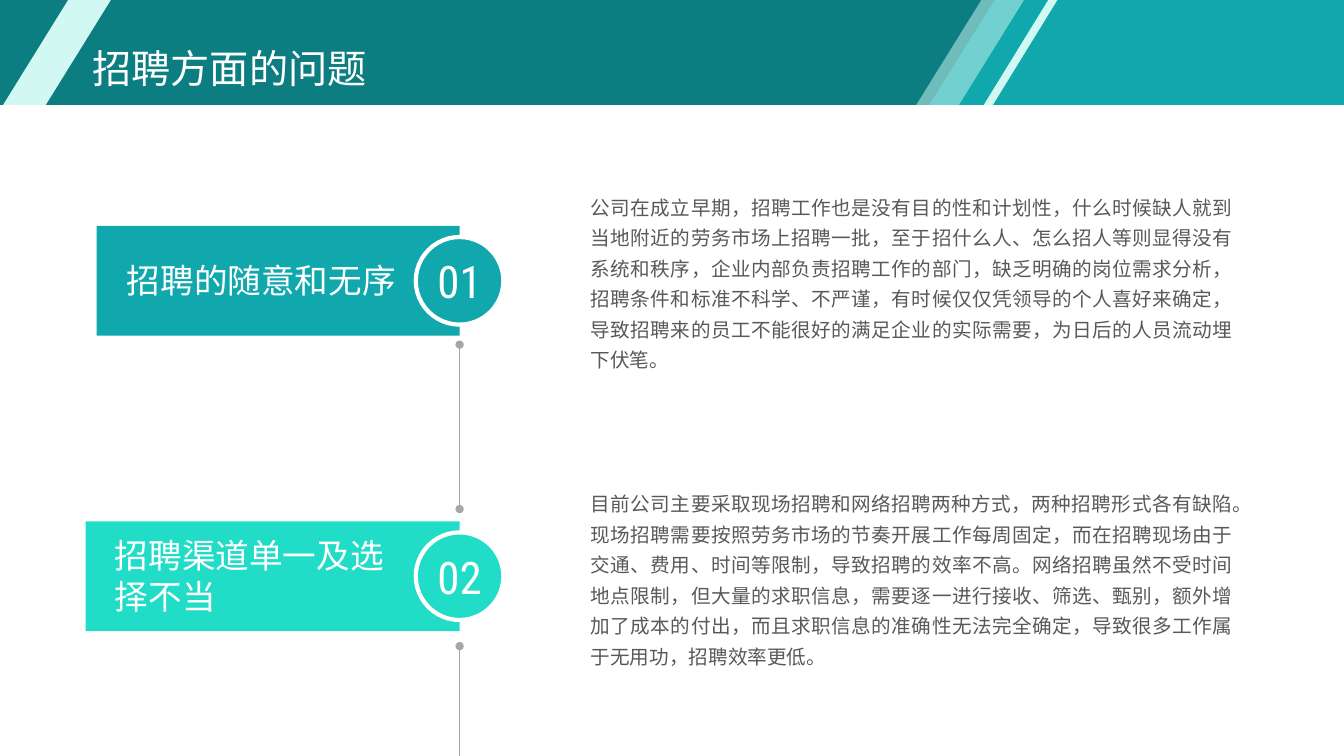
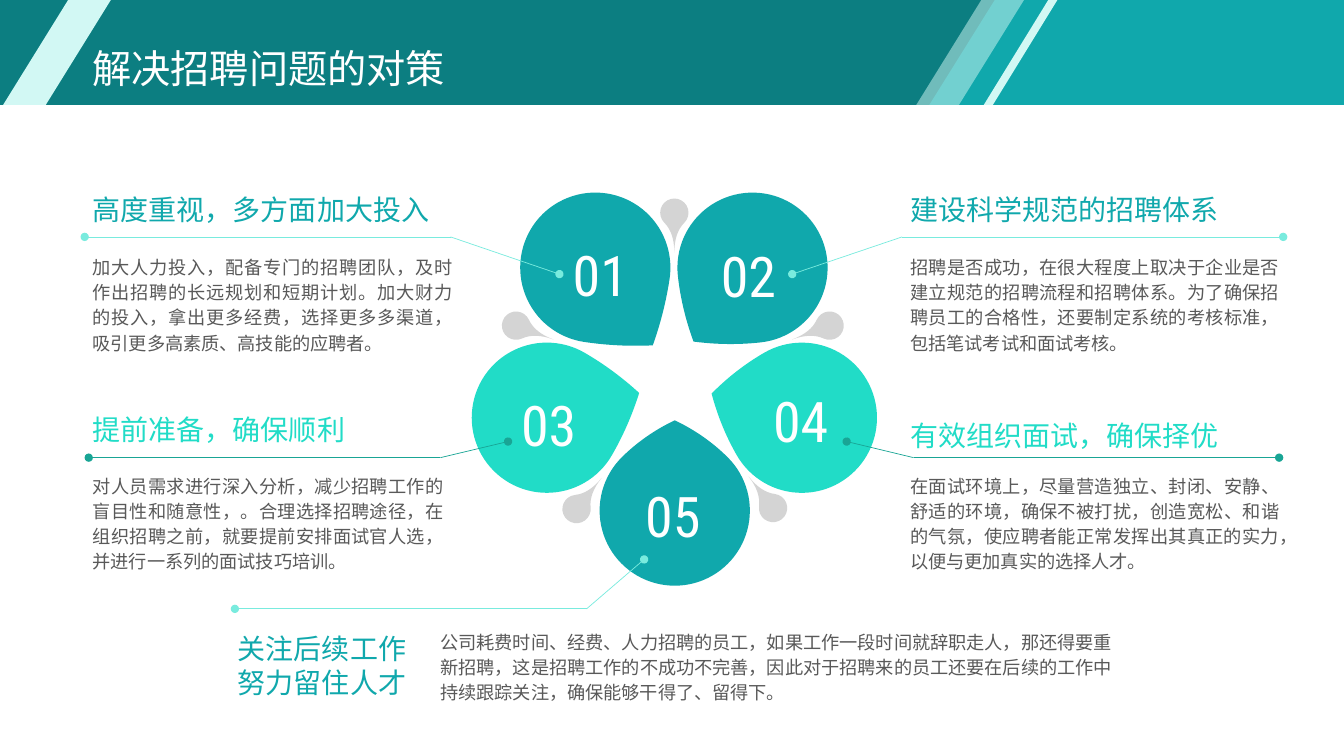
"""Build two slides on recruitment problems and their remedies."""
from dataclasses import dataclass

from lxml.etree import SubElement
from pptx import Presentation
from pptx.dml.color import RGBColor
from pptx.enum.shapes import MSO_CONNECTOR, MSO_SHAPE
from pptx.enum.text import MSO_ANCHOR, PP_ALIGN
from pptx.oxml.ns import qn
from pptx.util import Pt


@dataclass(frozen=True)
class Theme:
    dark: str = "0C7E81"
    teal: str = "10A8AC"
    mint: str = "21DCC7"
    pale: str = "D2F8F4"
    white: str = "FFFFFF"
    body: str = "595959"
    rail: str = "A6A6A6"
    drop: str = "D4D4D4"
    light_leader: str = "79EBDE"
    dark_leader: str = "19A595"
    font: str = "Noto Sans CJK SC"
    digits: str = "Roboto Condensed"
    title_size: int = 28
    label_size: int = 24
    badge_size: int = 32
    problem_size: int = 14
    petal_size: int = 40
    heading_size: int = 20
    remedy_size: int = 13


T = Theme()
WIDTH, HEIGHT, BAND = 960, 540, 75

PROBLEMS_TITLE = "招聘方面的问题"
PROBLEMS = [
    dict(number="01", label="招聘的随意和无序", color=T.teal, left=69.1,
         label_box=(90.7, 185.8, 205.9, 28.8), body_top=134.6, rail=(246.2, 363.6),
         body="公司在成立早期，招聘工作也是没有目的性和计划性，什么时候缺人就到当地附近的劳务市场上招聘一批，"
              "至于招什么人、怎么招人等则显得没有系统和秩序，企业内部负责招聘工作的部门，缺乏明确的岗位需求分析，"
              "招聘条件和标准不科学、不严谨，有时候仅仅凭领导的个人喜好来确定，"
              "导致招聘来的员工不能很好的满足企业的实际需要，为日后的人员流动埋下伏笔。"),
    dict(number="02", label="招聘渠道单一及选择不当", color=T.mint, left=61.2,
         label_box=(82.1, 382.3, 214.6, 58.3), body_top=346.3, rail=(461.5, HEIGHT),
         body="目前公司主要采取现场招聘和网络招聘两种方式，两种招聘形式各有缺陷。"
              "现场招聘需要按照劳务市场的节奏开展工作每周固定，而在招聘现场由于交通、费用、时间等限制，"
              "导致招聘的效率不高。网络招聘虽然不受时间地点限制，但大量的求职信息，"
              "需要逐一进行接收、筛选、甄别，额外增加了成本的付出，而且求职信息的准确性无法完全确定，"
              "导致很多工作属于无用功，招聘效率更低。"),
]

REMEDIES_TITLE = "解决招聘问题的对策"
REMEDIES = [
    dict(number="01", heading="高度重视，多方面加大投入", color=T.teal, leader=T.light_leader,
         petal=(425.2, 191.2, 98.5, 0.91), digit=(428.8, 195.5),
         points=[(399.6, 195.8), (321.8, 169.2), (60.5, 169.2)],
         heading_box=(66.2, 137.5, 258.5, 24.5), body_box=(66.2, 180.7, 257, 72.7),
         body="加大人力投入，配备专门的招聘团队，及时作出招聘的长远规划和短期计划。"
              "加大财力的投入，拿出更多经费，选择更多多渠道，吸引更多高素质、高技能的应聘者。"),
    dict(number="02", heading="建设科学规范的招聘体系", color=T.teal, leader=T.light_leader,
         petal=(537.5, 191.2, 173.6, 0.89), digit=(534.6, 196.2),
         points=[(565.9, 195.8), (644.4, 169.2), (916.6, 169.2)],
         heading_box=(650.2, 137.5, 233.3, 24.5), body_box=(650.2, 180.7, 263.5, 72.7),
         body="招聘是否成功，在很大程度上取决于企业是否建立规范的招聘流程和招聘体系。"
              "为了确保招聘员工的合格性，还要制定系统的考核标准，包括笔试考试和面试考核。"),
    dict(number="03", heading="提前准备，确保顺利", color=T.mint, leader=T.dark_leader,
         petal=(390.6, 298.4, 30, 0.9), digit=(392, 302.8),
         points=[(362.9, 315.4), (314.6, 326.9), (63.4, 326.9)],
         heading_box=(66.2, 294.5, 258.5, 24.5), body_box=(66.2, 337, 250.6, 72.7),
         body="对人员需求进行深入分析，减少招聘工作的盲目性和随意性，。合理选择招聘途径，"
              "在组织招聘之前，就要提前安排面试官人选，并进行一系列的面试技巧培训。"),
    dict(number="04", heading="有效组织面试，确保择优", color=T.mint, leader=T.dark_leader,
         petal=(572.8, 298.4, 240, 0.88), digit=(572, 299.9),
         points=[(604.8, 315.4), (652.6, 326.9), (913.7, 326.9)],
         heading_box=(650.2, 298.8, 267.8, 24.5), body_box=(650.2, 337, 263.5, 72.7),
         body="在面试环境上，尽量营造独立、封闭、安静、舒适的环境，确保不被打扰，"
              "创造宽松、和谐的气氛，使应聘者能正常发挥出其真正的实力，以便与更加真实的选择人才。"),
    dict(number="05", heading="关注后续工作努力留住人才", color=T.teal, leader=T.light_leader,
         petal=(482, 364.7, 315, 0.85), digit=(480.6, 367.6),
         points=[(460.1, 399.6), (419, 434.9), (167.8, 434.9)],
         heading_box=(169.9, 451.4, 126.7, 48.2), body_box=(314.6, 448.6, 479.5, 54.7),
         body="公司耗费时间、经费、人力招聘的员工，如果工作一段时间就辞职走人，那还得要重新招聘，"
              "这是招聘工作的不成功不完善，因此对于招聘来的员工还要在后续的工作中持续跟踪关注，"
              "确保能够干得了、留得下。"),
]
DROPS = [(368.6, 232.6, 65.3), (592.6, 232.6, 204.7), (481.7, 151.9, 135),
         (411.8, 363.6, 353.9), (552.2, 362.9, 277.2)]


def rgb(color):
    return RGBColor.from_string(color)


def points(*values):
    return [Pt(v) for v in values]


def centred(x, y, size):
    return x - size / 2, y - size / 2, size, size


def paint(s, color, line=None, line_width=3):
    s.shadow.inherit = False
    s.fill.solid()
    s.fill.fore_color.rgb = rgb(color)
    if line:
        s.line.color.rgb = rgb(line)
        s.line.width = Pt(line_width)
    else:
        s.line.fill.background()
    return s


def add_shape(slide, kind, box, color, adj=None, rotation=0, **line):
    s = slide.shapes.add_shape(kind, *points(*box))
    if adj is not None:
        s.adjustments[0] = adj
    s.rotation = rotation
    return paint(s, color, **line)


def add_polygon(slide, corners, color):
    builder = slide.shapes.build_freeform(*points(*corners[0]), scale=1.0)
    builder.add_line_segments([points(*c) for c in corners[1:]], close=True)
    return paint(builder.convert_to_shape(), color)


def add_line(slide, start, end, color, width, head=False, tail=False):
    s = slide.shapes.add_connector(MSO_CONNECTOR.STRAIGHT, *points(*start, *end))
    s.line.color.rgb = rgb(color)
    s.line.width = Pt(width)
    ln = s.line._get_or_add_ln()
    for tag, wanted in (("a:headEnd", head), ("a:tailEnd", tail)):
        if wanted:
            SubElement(ln, qn(tag), type="oval")
    SubElement(s._element.spPr, qn("a:effectLst"))


def write(s, text, size, color=T.white, font=T.font, align=PP_ALIGN.LEFT,
          anchor=MSO_ANCHOR.TOP, spacing=None, insets=(0, 0)):
    tf = s.text_frame
    tf.word_wrap = True
    tf.vertical_anchor = anchor
    tf.margin_left = tf.margin_right = Pt(insets[0])
    tf.margin_top = tf.margin_bottom = Pt(insets[1])
    p = tf.paragraphs[0]
    p.alignment = align
    if spacing:
        p.line_spacing = spacing
    r = p.add_run()
    r.text = text
    r.font.size = Pt(size)
    r.font.color.rgb = rgb(color)
    r.font.name = font
    SubElement(r._r.get_or_add_rPr(), qn("a:ea"), typeface=font)


def add_text(slide, box, text, size, **style):
    write(slide.shapes.add_textbox(*points(*box)), text, size, **style)


def add_slide(prs, title):
    slide = prs.slides.add_slide(prs.slide_layouts[6])
    add_shape(slide, MSO_SHAPE.RECTANGLE, (0, 0, WIDTH, BAND), T.dark)
    add_polygon(slide, [(710.6, 0), (WIDTH, 0), (WIDTH, BAND), (663.8, BAND)], T.teal)
    stripes = [add_shape(slide, MSO_SHAPE.PARALLELOGRAM, (x, 0, 77, BAND), T.pale, adj=0.62)
               for x in (2.2, 654.5)]
    color = stripes[1].fill._xPr.find(qn("a:solidFill"))[0]
    SubElement(color, qn("a:alpha"), val="51000")
    add_polygon(slide, [(748.8, 0), (755.3, 0), (709.2, BAND), (702.7, BAND)], T.pale)
    add_text(slide, (59, 23.8, 653.8, 54), title, T.title_size, anchor=MSO_ANCHOR.MIDDLE,
             spacing=0.9, insets=(7.2, 3.6))
    return slide


def build_problems(prs):
    slide = add_slide(prs, PROBLEMS_TITLE)
    axis, first, pitch, bar, badge = 328.3, 200.6, 211, 78.5, 62.6
    for i, item in enumerate(PROBLEMS):
        y, left, color = first + i * pitch, item["left"], item["color"]
        add_shape(slide, MSO_SHAPE.RECTANGLE, (left, y - bar / 2, axis - left, bar), color)
        add_text(slide, item["label_box"], item["label"], T.label_size)
        s = add_shape(slide, MSO_SHAPE.OVAL, centred(axis, y, badge), color, line=T.white)
        write(s, item["number"], T.badge_size, font=T.digits, align=PP_ALIGN.CENTER,
              anchor=MSO_ANCHOR.MIDDLE)
        add_text(slide, (421.9, item["body_top"], 458.6, 132), item["body"], T.problem_size,
                 color=T.body, align=PP_ALIGN.JUSTIFY, spacing=1.3)
        top, bottom = item["rail"]
        add_line(slide, (axis, top), (axis, bottom), T.rail, 0.75,
                 head=True, tail=bottom < HEIGHT)


def build_remedies(prs):
    slide = add_slide(prs, REMEDIES_TITLE)
    for item in REMEDIES:
        x, y, rotation, adj = item["petal"]
        add_shape(slide, MSO_SHAPE.TEAR, centred(x, y, 107.3), item["color"], adj, rotation)
    for item in REMEDIES:
        add_text(slide, centred(*item["digit"], 77), item["number"], T.petal_size,
                 font=T.digits, align=PP_ALIGN.CENTER, anchor=MSO_ANCHOR.MIDDLE)
        add_text(slide, item["heading_box"], item["heading"], T.heading_size, color=item["color"])
        add_text(slide, item["body_box"], item["body"], T.remedy_size, color=T.body,
                 align=PP_ALIGN.JUSTIFY, spacing=Pt(18))
        dot, elbow, end = item["points"]
        add_line(slide, dot, elbow, item["leader"], 0.5, head=True)
        add_line(slide, elbow, end, item["leader"], 0.5, tail=True)
    for x, y, rotation in DROPS:
        add_shape(slide, MSO_SHAPE.TEAR, centred(x, y, 20.2), T.drop, 2, rotation)


def main():
    prs = Presentation()
    prs.slide_width, prs.slide_height = points(WIDTH, HEIGHT)
    build_problems(prs)
    build_remedies(prs)
    prs.save("out.pptx")


if __name__ == "__main__":
    main()
